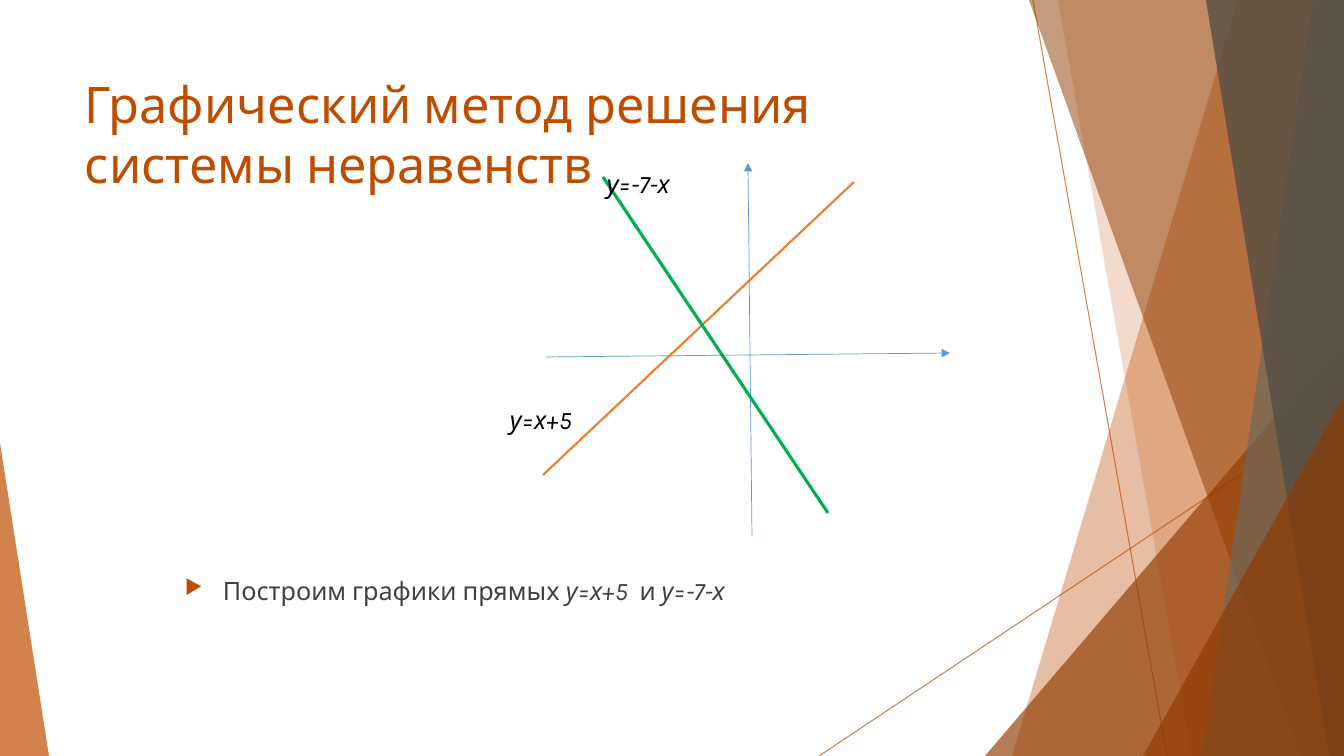
from lxml import etree
from pptx import Presentation
from pptx.dml.color import RGBColor
from pptx.enum.shapes import MSO_CONNECTOR, MSO_SHAPE
from pptx.enum.text import MSO_ANCHOR
from pptx.oxml.ns import qn
from pptx.util import Pt

STRAIGHT = MSO_CONNECTOR.STRAIGHT
TRIANGLE = MSO_SHAPE.ISOSCELES_TRIANGLE
TOP = MSO_ANCHOR.TOP

# Content: lengths in px, 100.8 px to the inch
W, H = 1344, 756
PX = 914400 / 100.8
FONT = "Karla"
COLORS = {
    "rust": "BF4D00", "brown": "8F3A00", "taupe": "71685A", "slate": "554E44",
    "text": "404040", "black": "000000",
    "axis": "5B9BD5", "orange": "ED7D31", "green": "00B050",
}

# Decor lines: from, to
DECOR_LINES = [((1033, 0), (1167, H)), ((W, 406), (819, H))]

# Decor bands reach the right edge: top x, bottom x, colour, opacity %
# Decor triangles: box, apex position, colour, opacity %
DECOR = [
    ("band", (1238, 1012), "rust", 36),
    ("band", (1058, 1192), "rust", 20),
    ("triangle", (985, 336, 359, 420), 1, "brown", 66),
    ("band", (1029, 1301), "brown", 50),
    ("band", (1313, 1202), "taupe", 70),
    ("band", (1206, 1329), "slate", 80),
    ("triangle", (1143, 396, 201, 360), 1, "brown", 66),
    ("triangle", (0, 443, 49, 313), 0, "rust", 70),
]

# Graph lines: from, to, colour, width in pt, arrow
GRAPH = [
    ((752, 536), (748, 163), "axis", 0.5, True),
    ((546, 357), (950, 353), "axis", 0.5, True),
    ((543, 475), (854, 182), "orange", 1.5, False),
    ((828, 513), (603, 177), "green", 2.25, False),
]

# Texts: box, size, colour, wrap, bullet, runs (text, italic)
TEXTS = [
    ((75, 68, 948, 145), 36, "rust", True, False,
     [("Графический метод решения системы неравенств", False)]),
    ((175, 570, 948, 136), 18, "text", True, True,
     [("Построим графики прямых ", False), ("у=х+5", True),
      ("  и ", False), ("у=-7-х", True)]),
    ((500, 399, 87, 40), 18, "black", False, False, [("у=х+5", True)]),
    ((597, 163, 92, 40), 18, "black", False, False, [("у=-7-х", True)]),
]


def emu(*values):
    return [round(v * PX) for v in values]


def rgb(name):
    return RGBColor.from_string(COLORS[name])


def set_alpha(fill, percent):
    color = fill._xPr.find(".//" + qn("a:srgbClr"))
    etree.SubElement(color, qn("a:alpha"), val=str(percent * 1000))


def add_line(shapes, start, end, color, width, alpha=None, arrow=False):
    ln = shapes.add_connector(STRAIGHT, *emu(*start, *end))
    ln.line.color.rgb = rgb(color)
    ln.line.width = Pt(width)
    if alpha:
        set_alpha(ln.line.fill, alpha)
    if arrow:
        etree.SubElement(ln.line._get_or_add_ln(), qn("a:tailEnd"), type="triangle")
    etree.SubElement(ln._element.spPr, qn("a:effectLst"))


def paint(sp, color, alpha):
    sp.shadow.inherit = False
    sp.fill.solid()
    sp.fill.fore_color.rgb = rgb(color)
    set_alpha(sp.fill, alpha)
    sp.line.fill.background()


def add_band(shapes, edge, color, alpha):
    top, bottom = edge
    fb = shapes.build_freeform(top, 0, scale=PX)
    fb.add_line_segments([(W, 0), (W, H), (bottom, H)], close=True)
    paint(fb.convert_to_shape(), color, alpha)


def add_triangle(shapes, box, apex, color, alpha):
    sp = shapes.add_shape(TRIANGLE, *emu(*box))
    sp.adjustments[0] = apex
    paint(sp, color, alpha)


def add_bullet(p):
    indent = emu(38)[0]
    pPr = p._p.get_or_add_pPr()
    pPr.set("marL", str(indent))
    pPr.set("indent", str(-indent))
    color = etree.SubElement(pPr, qn("a:buClr"))
    etree.SubElement(color, qn("a:srgbClr"), val=COLORS["rust"])
    etree.SubElement(pPr, qn("a:buSzPct"), val="80000")
    etree.SubElement(pPr, qn("a:buChar"), char="▶")


def add_text(shapes, box, size, color, wrap, bullet, runs):
    tf = shapes.add_textbox(*emu(*box)).text_frame
    tf.word_wrap = wrap
    tf.vertical_anchor = TOP
    p = tf.paragraphs[0]
    if bullet:
        add_bullet(p)
    for text, italic in runs:
        r = p.add_run()
        r.text = text
        r.font.name = FONT
        r.font.size = Pt(size)
        r.font.italic = italic
        r.font.color.rgb = rgb(color)


def main():
    prs = Presentation()
    prs.slide_width, prs.slide_height = emu(W, H)
    slide = prs.slides.add_slide(prs.slide_layouts[6])

    # Decor
    decor = slide.shapes.add_group_shape().shapes
    for start, end in DECOR_LINES:
        add_line(decor, start, end, "rust", 0.75, alpha=70)
    draw = {"band": add_band, "triangle": add_triangle}
    for kind, *args in DECOR:
        draw[kind](decor, *args)

    # Title and body, then the graph, then its labels
    for item in TEXTS[:2]:
        add_text(slide.shapes, *item)
    graph = slide.shapes.add_group_shape().shapes
    for start, end, color, width, arrow in GRAPH:
        add_line(graph, start, end, color, width, arrow=arrow)
    for item in TEXTS[2:]:
        add_text(slide.shapes, *item)

    prs.save("out.pptx")


if __name__ == "__main__":
    main()
